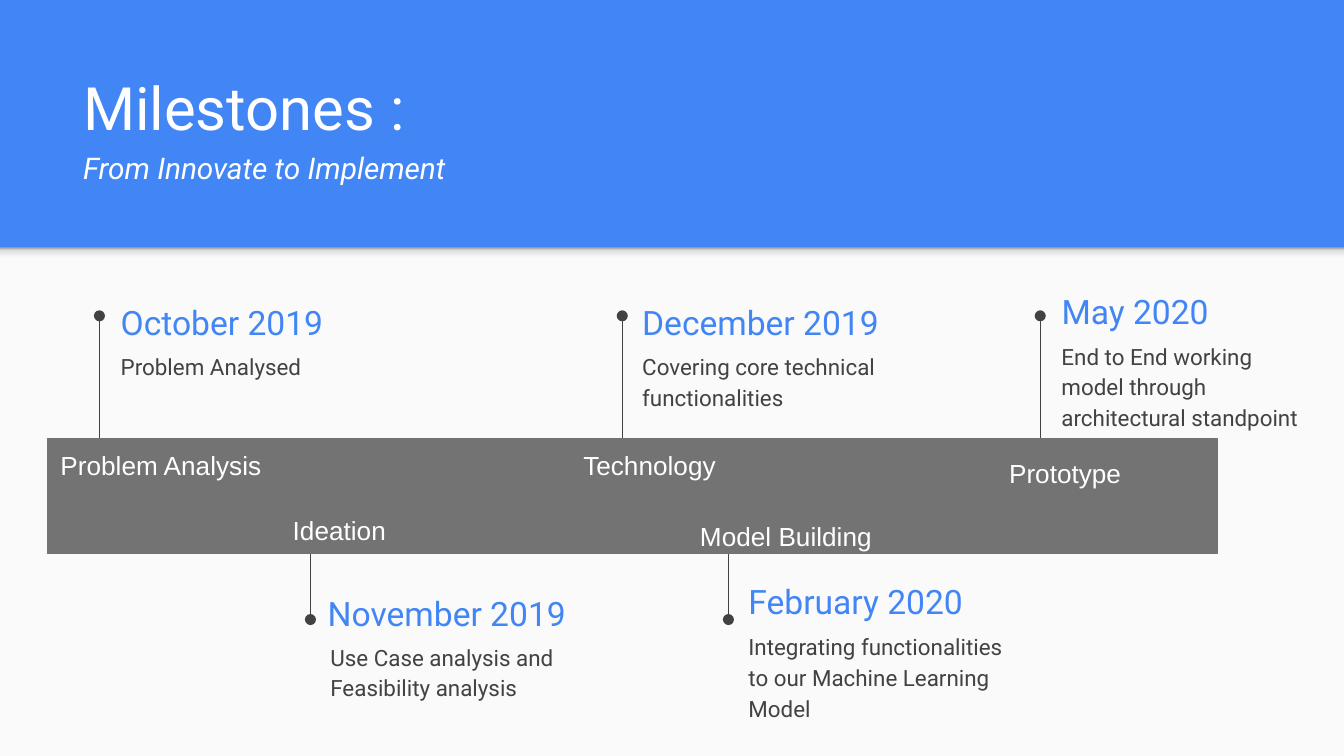
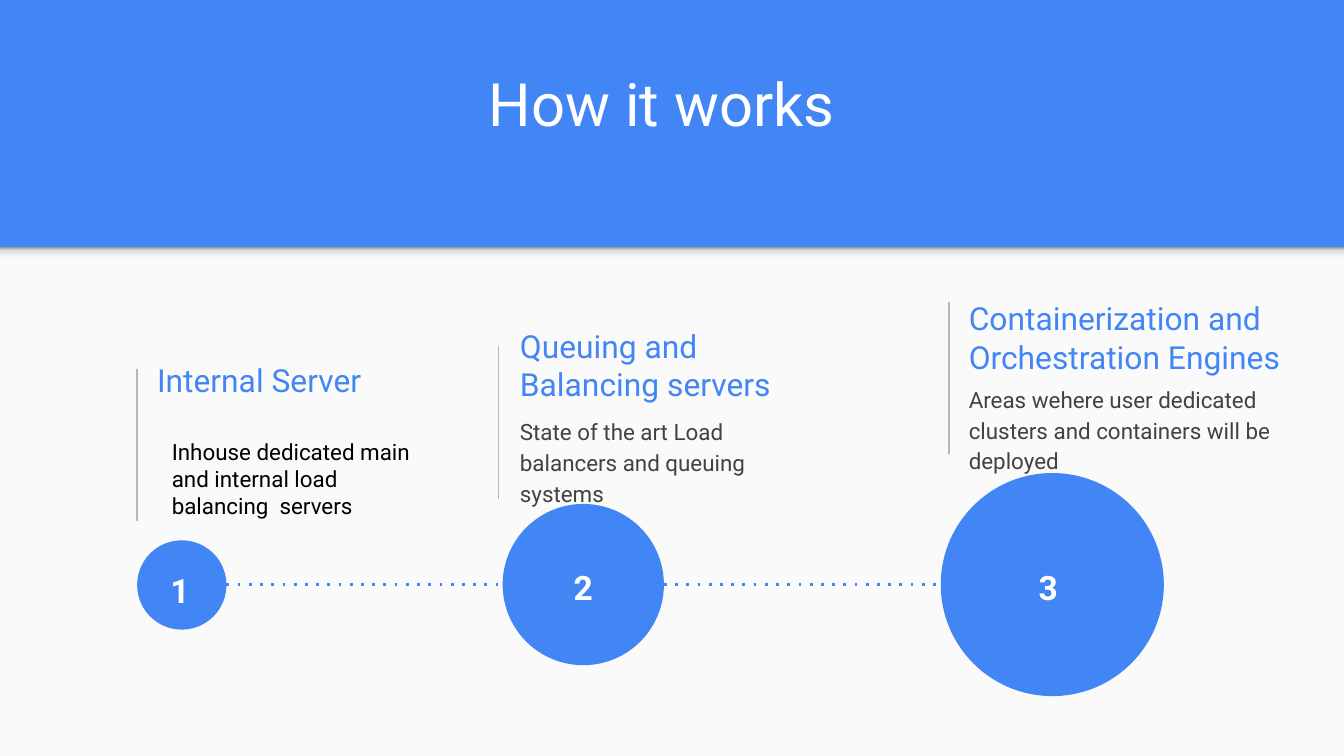
from dataclasses import dataclass

import pptx
import pptx.dml.color
import pptx.enum.dml
import pptx.enum.shapes
import pptx.enum.text
import pptx.oxml
import pptx.oxml.ns
import pptx.util

# Lengths are px, 200 to the inch
PX = 4572
WIDTH, HEIGHT = 2000, 1125
BAND_BOTTOM = 368
INSET = 20

BLUE, PAPER, WHITE, BLACK = "4285F4", "FAFAFA", "FFFFFF", "000000"
INK, RULE_GREY, BAR_GREY = "424242", "B7B7B7", "737373"
SHADOW_STOPS = [(0, "F9F9F9"), (36, "F9F9F9"), (80, "DEDEDE"), (100, "999999")]
NO_TABLE_STYLE = "{2D5ABB26-0587-4C30-8999-92F81FD0307C}"

ANCHOR = pptx.enum.text.MSO_ANCHOR
ALIGN = pptx.enum.text.PP_ALIGN
SHAPE = pptx.enum.shapes.MSO_SHAPE


@dataclass(frozen=True)
class Box:
    left: int
    top: int
    width: int
    height: int

    def emu(self) -> list[int]:
        return [n * PX for n in (self.left, self.top, self.width, self.height)]


@dataclass(frozen=True)
class Milestone:
    date: str
    date_box: Box
    result: str
    result_box: Box
    pin_x: int
    pin_start: int
    pin_end: int


@dataclass(frozen=True)
class Step:
    heading: str
    heading_box: Box
    detail: str
    detail_box: Box
    rule_x: int
    rule_top: int
    circle_left: int
    diameter: int
    number_box: Box


MILESTONES = [
    Milestone("October 2019", Box(160, 436, 396, 86), "Problem Analysed",
              Box(160, 500, 396, 126), 148, 653, 470),
    Milestone("November 2019", Box(468, 870, 442, 86),
              "Use Case analysis and\nFeasibility analysis",
              Box(472, 932, 396, 126), 462, 738, 922),
    Milestone("December 2019", Box(936, 436, 396, 86),
              "Covering core technical functionalities",
              Box(936, 500, 396, 126), 926, 653, 470),
    Milestone("February 2020", Box(1094, 852, 396, 86),
              "Integrating functionalities to our Machine Learning Model",
              Box(1094, 916, 436, 126), 1084, 738, 922),
    Milestone("May 2020", Box(1560, 420, 396, 86),
              "End to End working model through architectural standpoint",
              Box(1560, 484, 412, 126), 1548, 653, 470),
]

PHASE_BAR = Box(70, 652, 1742, 172)
PHASE_WIDTHS = [370, 376, 278, 426, 292]
# Column: (phase, left margin)
BAR_PHASES = {0: ("Problem Analysis", INSET), 2: ("Technology", 52)}
LOOSE_PHASES = [
    ("Ideation", Box(416, 746, 260, 76)),
    ("Model Building", Box(1022, 754, 370, 76)),
    ("Prototype", Box(1482, 660, 310, 76)),
]

STEPS = [
    Step("Internal Server", Box(214, 522, 396, 86),
         "Inhouse dedicated main and internal load balancing  servers",
         Box(236, 632, 422, 160), 204, 549, 204, 133, Box(234, 828, 86, 86)),
    Step("Queuing and Balancing servers", Box(754, 490, 522, 106),
         "State of the art Load balancers and queuing systems",
         Box(754, 596, 396, 118), 742, 515, 748, 240, Box(834, 824, 78, 86)),
    Step("Containerization and Orchestration Engines", Box(1422, 422, 522, 160),
         "Areas wehere user dedicated clusters and containers will be deployed",
         Box(1422, 548, 578, 198), 1412, 449, 1400, 332, Box(1526, 824, 78, 86)),
]
RULE_LENGTH = 227
PATH_Y = 870


def rgb(value: str) -> pptx.dml.color.RGBColor:
    return pptx.dml.color.RGBColor.from_string(value)


def write(frame, text: str, *, size: int, color: str, font: str = "Roboto",
          bold: bool = False, italic: bool = False, align=ALIGN.LEFT,
          spacing: float = 1.0, before: int = 0, after: int = 0,
          append: bool = False) -> None:
    """Write one paragraph; a newline in the text is a line break."""
    paragraph = frame.add_paragraph() if append else frame.paragraphs[0]
    paragraph.alignment = align
    paragraph.line_spacing = spacing
    paragraph.space_before = pptx.util.Pt(before)
    paragraph.space_after = pptx.util.Pt(after)
    for index, line in enumerate(text.split("\n")):
        if index:
            paragraph.add_line_break()
        run = paragraph.add_run()
        run.text = line
        run.font.name, run.font.size = font, pptx.util.Pt(size)
        run.font.bold, run.font.italic = bold, italic
        run.font.color.rgb = rgb(color)


def add_frame(slide, box: Box, anchor=ANCHOR.TOP):
    frame = slide.shapes.add_textbox(*box.emu()).text_frame
    frame.word_wrap = True
    frame.auto_size = pptx.enum.text.MSO_AUTO_SIZE.NONE
    frame.vertical_anchor = anchor
    frame.margin_left = frame.margin_right = INSET * PX
    frame.margin_top = frame.margin_bottom = INSET * PX
    return frame


def add_text(slide, box: Box, text: str, anchor=ANCHOR.TOP, **look) -> None:
    write(add_frame(slide, box, anchor), text, **look)


def add_filled(slide, kind, box: Box, color: str):
    shape = slide.shapes.add_shape(kind, *box.emu())
    shape.shadow.inherit = False
    shape.fill.solid()
    shape.fill.fore_color.rgb = rgb(color)
    shape.line.fill.background()
    return shape


def add_line(slide, start: tuple[int, int], end: tuple[int, int], color: str,
             weight: float = 0.75, dotted: bool = False,
             oval_end: bool = False) -> None:
    line = slide.shapes.add_connector(
        pptx.enum.shapes.MSO_CONNECTOR.STRAIGHT,
        *[n * PX for n in (*start, *end)])
    line.line.color.rgb = rgb(color)
    line.line.width = pptx.util.Pt(weight)
    if dotted:
        line.line.dash_style = pptx.enum.dml.MSO_LINE.ROUND_DOT
        dash = line.line._ln.find(pptx.oxml.ns.qn("a:prstDash"))
        dash.set("val", "dot")
    if oval_end:
        line.line._ln.append(pptx.oxml.parse_xml(
            f'<a:tailEnd {pptx.oxml.ns.nsdecls("a")} type="oval"/>'))
    line._element.spPr.append(pptx.oxml.parse_xml(
        f'<a:effectLst {pptx.oxml.ns.nsdecls("a")}/>'))


def add_band_shadow(slide) -> None:
    shadow = add_filled(slide, SHAPE.RECTANGLE,
                        Box(0, BAND_BOTTOM, WIDTH, 24), PAPER)
    stops = "".join(f'<a:gs pos="{pos * 1000}"><a:srgbClr val="{color}"/></a:gs>'
                    for pos, color in SHADOW_STOPS)
    gradient = pptx.oxml.parse_xml(
        f'<a:gradFill {pptx.oxml.ns.nsdecls("a")}><a:gsLst>{stops}</a:gsLst>'
        '<a:lin ang="16200000" scaled="0"/></a:gradFill>')
    properties = shadow._element.spPr
    properties.replace(properties.find(pptx.oxml.ns.qn("a:solidFill")), gradient)


def add_slide(deck, title: str, title_box: Box, align=ALIGN.LEFT,
              subtitle: str = ""):
    """Blue band with the title, over a pale page."""
    slide = deck.slides.add_slide(deck.slide_layouts[6])
    slide.background.fill.solid()
    slide.background.fill.fore_color.rgb = rgb(BLUE)
    add_filled(slide, SHAPE.RECTANGLE,
               Box(0, BAND_BOTTOM, WIDTH, HEIGHT - BAND_BOTTOM), PAPER)
    add_band_shadow(slide)
    heading = add_frame(slide, title_box, ANCHOR.BOTTOM)
    write(heading, title, size=32, color=WHITE, align=align)
    if subtitle:
        write(heading, subtitle, size=16, color=WHITE, italic=True,
              before=4, after=4, append=True)
    return slide


def add_phase_bar(slide) -> None:
    bar = slide.shapes.add_table(1, len(PHASE_WIDTHS), *PHASE_BAR.emu()).table
    bar.first_row = bar.horz_banding = False
    bar._tbl.tblPr.find(pptx.oxml.ns.qn("a:tableStyleId")).text = NO_TABLE_STYLE
    for index, width in enumerate(PHASE_WIDTHS):
        bar.columns[index].width = width * PX
        cell = bar.cell(0, index)
        cell.fill.solid()
        cell.fill.fore_color.rgb = rgb(BAR_GREY)
        phase, margin = BAR_PHASES.get(index, ("", INSET))
        cell.margin_left = margin * PX
        cell.margin_right = cell.margin_top = cell.margin_bottom = INSET * PX
        if phase:
            write(cell.text_frame, phase, size=14, color=WHITE, font="Arial")


def build_milestones(deck) -> None:
    slide = add_slide(deck, "Milestones :", Box(104, 128, 1798, 168),
                      subtitle="From Innovate to Implement")
    for item in MILESTONES:
        add_line(slide, (item.pin_x, item.pin_start), (item.pin_x, item.pin_end),
                 INK, oval_end=True)
        add_text(slide, item.date_box, item.date, ANCHOR.MIDDLE,
                 size=18, color=BLUE)
        add_text(slide, item.result_box, item.result, size=12, color=INK,
                 spacing=1.15, after=16)
    add_phase_bar(slide)
    for phase, box in LOOSE_PHASES:
        add_text(slide, box, phase, size=14, color=WHITE, font="Arial")


def build_how_it_works(deck) -> None:
    slide = add_slide(deck, "How it works", Box(86, 50, 1798, 176), ALIGN.CENTER)
    for index, step in enumerate(STEPS):
        add_line(slide, (step.rule_x, step.rule_top),
                 (step.rule_x, step.rule_top + RULE_LENGTH), RULE_GREY)
        add_text(slide, step.heading_box, step.heading, ANCHOR.MIDDLE,
                 size=17, color=BLUE)
        # The first step's detail is black and set tighter
        look = {"color": INK, "spacing": 1.15, "after": 16} if index else {"color": BLACK}
        add_text(slide, step.detail_box, step.detail, size=12, **look)

    # Dotted path through the growing circles
    first, last = STEPS[0], STEPS[-1]
    add_line(slide, (first.circle_left + first.diameter, PATH_Y),
             (last.circle_left, PATH_Y), BLUE, weight=1.5, dotted=True)
    for number, step in enumerate(STEPS, start=1):
        add_filled(slide, SHAPE.OVAL,
                   Box(step.circle_left, PATH_Y - step.diameter // 2,
                       step.diameter, step.diameter), BLUE)
        add_text(slide, step.number_box, str(number), size=18, color=WHITE,
                 bold=True)


def main() -> None:
    deck = pptx.Presentation()
    deck.slide_width, deck.slide_height = WIDTH * PX, HEIGHT * PX
    build_milestones(deck)
    build_how_it_works(deck)
    deck.save("out.pptx")


if __name__ == "__main__":
    main()
